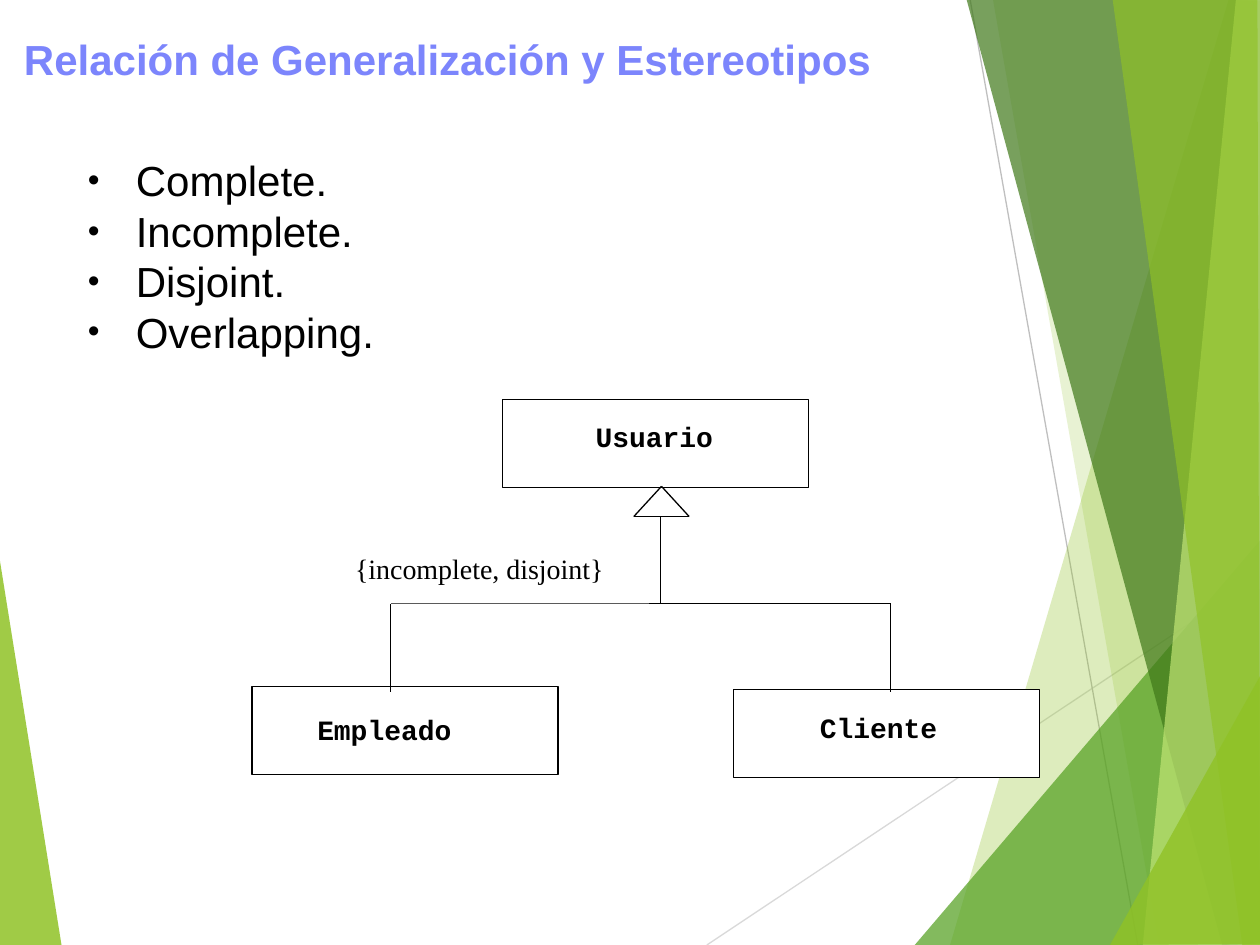
import lxml.etree
import pptx
import pptx.dml.color
import pptx.enum.shapes
import pptx.enum.text
import pptx.oxml
import pptx.oxml.ns
import pptx.util
from pptx.util import Inches

COLORS = {
    "black": "000000", "white": "FFFFFF", "title": "7C85FC",
    "lime": "90C226", "green": "54A021", "forest": "3F7819", "pale": "C0E474",
    "light_gray": "D9D9D9", "gray": "BFBFBF",
}


def rgb(name):
    return pptx.dml.color.RGBColor.from_string(COLORS[name])


def add_element(parent, tag, **attributes):
    return lxml.etree.SubElement(parent, pptx.oxml.ns.qn(tag), **attributes)


class SlideBuilder:
    line_width = pptx.util.Pt(0.75)

    def __init__(self, slide):
        self.slide = slide
        self.shapes = slide.shapes

    def format_text(self, paragraph, font_name, size, color="black", bold=False):
        for run in paragraph.runs:
            run.font.name = font_name
            run.font.size = pptx.util.Pt(size)
            run.font.bold = bold
            run.font.color.rgb = rgb(color)

    def facet(self, points, color, opacity):
        corners = [(Inches(x), Inches(y)) for x, y in points]
        builder = self.shapes.build_freeform(*corners[0])
        builder.add_line_segments(corners[1:], close=True)
        shape = builder.convert_to_shape()
        shape.shadow.inherit = False
        shape.line.fill.background()
        shape.fill.solid()
        shape.fill.fore_color.rgb = rgb(color)
        fill_color = shape.fill._xPr.find(".//" + pptx.oxml.ns.qn("a:srgbClr"))
        add_element(fill_color, "a:alpha", val=str(opacity * 1000))

    def line(self, start, end, color="black"):
        connector = self.shapes.add_connector(
            pptx.enum.shapes.MSO_CONNECTOR.STRAIGHT,
            *(Inches(value) for value in start + end))
        connector.line.color.rgb = rgb(color)
        connector.line.width = self.line_width
        add_element(connector._element.spPr, "a:effectLst")

    def rectangle(self, left, top, width, height, outlined=True):
        shape = self.shapes.add_shape(
            pptx.enum.shapes.MSO_SHAPE.RECTANGLE,
            Inches(left), Inches(top), Inches(width), Inches(height))
        shape.shadow.inherit = False
        shape.fill.solid()
        shape.fill.fore_color.rgb = rgb("white")
        if outlined:
            shape.line.color.rgb = rgb("black")
            shape.line.width = self.line_width
        else:
            shape.line.fill.background()
        return shape

    def text_box(self, left, top, width, height):
        shape = self.shapes.add_textbox(
            Inches(left), Inches(top), Inches(width), Inches(height))
        shape.text_frame.word_wrap = True
        return shape.text_frame

    def class_name(self, text, left, top):
        text_frame = self.text_box(left, top, 1.54, 0.46)
        text_frame.text = text
        self.format_text(text_frame.paragraphs[0], "Courier New", 16, bold=True)

    def constraint(self, text, left, top, width, height):
        shape = self.rectangle(left, top, width, height, outlined=False)
        text_frame = shape.text_frame
        text_frame.text = text
        text_frame.vertical_anchor = pptx.enum.text.MSO_ANCHOR.TOP
        paragraph = text_frame.paragraphs[0]
        paragraph.alignment = pptx.enum.text.PP_ALIGN.LEFT
        self.format_text(paragraph, "Times New Roman", 16)

    def title(self, text):
        title = self.shapes.title
        title.left, title.top = Inches(0.09), Inches(0.09)
        title.width, title.height = Inches(9.8), Inches(0.63)
        title.text_frame.text = text
        title.text_frame.vertical_anchor = pptx.enum.text.MSO_ANCHOR.BOTTOM
        paragraph = title.text_frame.paragraphs[0]
        paragraph.alignment = pptx.enum.text.PP_ALIGN.LEFT
        paragraph.line_spacing = 0.9
        self.format_text(paragraph, "Arial", 24, "title", bold=True)

    def bullets(self, items, left, top, width, height):
        text_frame = self.text_box(left, top, width, height)
        text_frame.text = "\n".join(items)
        for paragraph in text_frame.paragraphs:
            properties = paragraph._p.get_or_add_pPr()
            properties.set("marL", str(Inches(0.38)))
            properties.set("indent", str(Inches(-0.38)))
            bullet_color = add_element(properties, "a:buClr")
            add_element(bullet_color, "a:srgbClr", val=COLORS["black"])
            add_element(properties, "a:buSzPct", val="80000")
            add_element(properties, "a:buFont", typeface="Arial")
            add_element(properties, "a:buChar", char="•")
            self.format_text(paragraph, "Arial", 24)


def main():
    presentation = pptx.Presentation()
    presentation.slide_width = Inches(10)
    presentation.slide_height = Inches(7.5)
    slide = presentation.slides.add_slide(presentation.slide_layouts[5])
    builder = SlideBuilder(slide)

    # Background facets and thin lines
    builder.facet([(-0.01, 4.39), (0.49, 7.51), (-0.01, 7.5)], "lime", 85)
    builder.line((5.61, 7.5), (10.01, 4.57), "light_gray")
    builder.line((7.7, 0), (9.03, 7.5), "gray")
    right_facets = [
        ([(9.75, 0), (7.54, 7.5), (10.02, 7.51), (10.01, 0.01)], "lime", 30),
        ([(7.88, -0.01), (9.2, 7.5), (10.01, 7.5), (10.01, -0.01)], "lime", 20),
        ([(7.26, 7.5), (10, 4.29), (10.01, 7.5)], "green", 72),
        ([(7.67, -0.01), (9.7, 7.5), (10.01, 7.49), (10.01, -0.01)], "forest", 70),
        ([(9.81, -0.01), (9.07, 7.5), (10.01, 7.5), (10, -0.01)], "pale", 70),
        ([(8.83, -0.01), (9.86, 7.5), (10, 7.5), (9.98, -0.01)], "lime", 65),
        ([(8.81, 7.5), (10.01, 5.35), (10.01, 7.49)], "lime", 80),
    ]
    for points, color, opacity in right_facets:
        builder.facet(points, color, opacity)

    # Class boxes
    for left, top in [(3.99, 3.17), (5.82, 5.47), (2, 5.45)]:
        builder.rectangle(left, top, 2.43, 0.7)

    # Generalization tree: branches, then arrowhead and stem
    branch_y, arrow_y = 4.79, 4.1
    employee_x, client_x = 3.1, 7.07
    for x in (employee_x, client_x):
        builder.line((x, 5.49), (x, branch_y))
    builder.line((employee_x, branch_y), (client_x, branch_y))
    tip, left_corner, right_corner = (5.25, 3.86), (5.03, arrow_y), (5.47, arrow_y)
    builder.line(tip, left_corner)
    builder.line(left_corner, right_corner)
    builder.line(tip, right_corner)
    builder.line((5.24, arrow_y), (5.24, branch_y))

    # Class names and constraint
    for text, left, top in [("Usuario", 4.63, 3.28), ("Empleado", 2.42, 5.61),
                            ("Cliente", 6.41, 5.59)]:
        builder.class_name(text, left, top)
    builder.constraint("{incomplete, disjoint}", 2.72, 4.33, 2.43, 0.46)

    # Title and list
    builder.title("Relación de Generalización y Estereotipos")
    builder.bullets(["Complete.", "Incomplete.", "Disjoint.", "Overlapping."],
                    0.6, 1.18, 8.8, 5.38)

    presentation.save("out.pptx")


if __name__ == "__main__":
    main()
